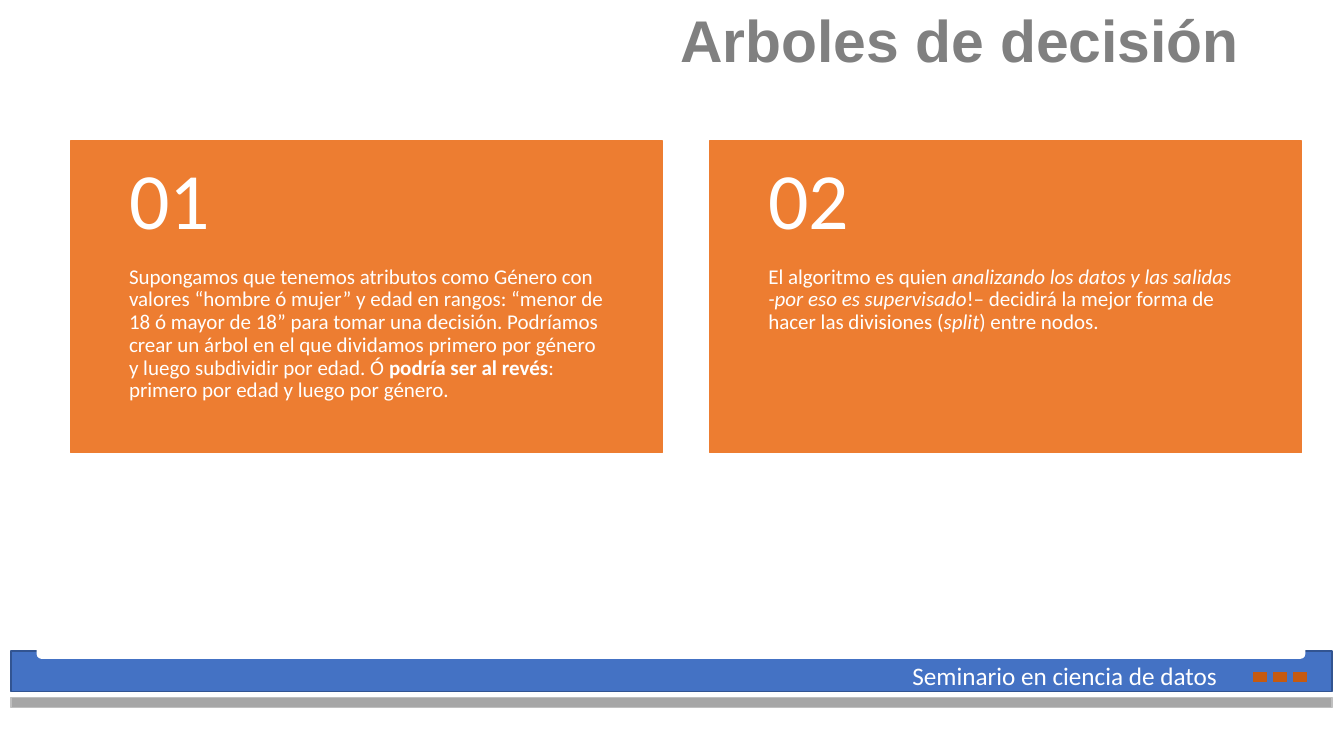
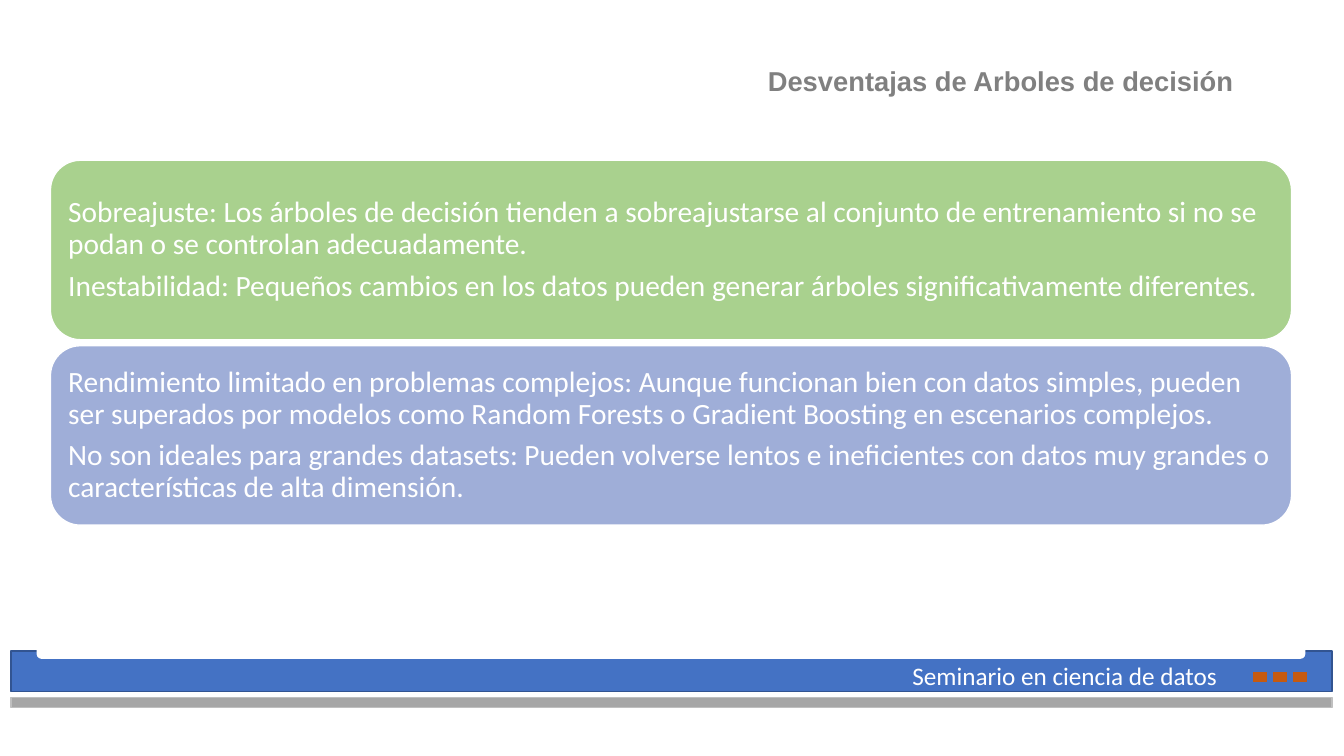
import pptx
import pptx.util
from pptx.dml.color import RGBColor
from pptx.enum.shapes import MSO_SHAPE
from pptx.enum.text import MSO_ANCHOR, MSO_AUTO_SIZE, PP_ALIGN

EMU_PER_PX = 9144  # 100 px to the inch

WHITE = RGBColor(0xFF, 0xFF, 0xFF)
TITLE_GRAY = RGBColor(0x80, 0x80, 0x80)
BAND_BLUE = RGBColor(0x44, 0x72, 0xC4)
BAND_EDGE = RGBColor(0x32, 0x54, 0x91)
STRIP_GRAY = RGBColor(0xA6, 0xA6, 0xA6)
STRIP_EDGE = RGBColor(0xBF, 0xBF, 0xBF)
RUST = RGBColor(0xC5, 0x5A, 0x11)
ORANGE = RGBColor(0xED, 0x7D, 0x31)
GREEN = RGBColor(0xA9, 0xD1, 0x8E)
PERIWINKLE = RGBColor(0x9F, 0xAE, 0xD8)

TITLE_FONT = "Arial"
BODY_FONT = "Calibri"
TITLE_ONLY = 5


def px(*lengths):
    return [pptx.util.Emu(length * EMU_PER_PX) for length in lengths]


class Deck:
    """Holds the presentation, its style and the slide being built."""

    def __init__(self):
        self.presentation = pptx.Presentation()
        width, height = px(1333, 750)
        self.presentation.slide_width = width
        self.presentation.slide_height = height
        self.slide = None

    def new_slide(self, title, left, top, size):
        layout = self.presentation.slide_layouts[TITLE_ONLY]
        self.slide = self.presentation.slides.add_slide(layout)
        self.title(title, left, top, size)
        self.footer()

    def title(self, text, left, top, size):
        heading = self.slide.shapes.title
        heading.left, heading.top, heading.width, heading.height = px(left, top, 590, 60)
        frame = heading.text_frame
        frame.text = text
        frame.word_wrap = True
        frame.auto_size = MSO_AUTO_SIZE.NONE
        frame.vertical_anchor = MSO_ANCHOR.BOTTOM
        line = frame.paragraphs[0]
        line.alignment = PP_ALIGN.RIGHT
        line.line_spacing = 0.7
        self.style_run(line.runs[0], size, TITLE_FONT, TITLE_GRAY, bold=True)

    def style_run(self, run, size, face=BODY_FONT, color=WHITE, bold=False, italic=False):
        font = run.font
        font.size = pptx.util.Pt(size)
        font.name = face
        font.color.rgb = color
        font.bold = bold
        font.italic = italic

    def block(self, box, fill, edge, kind=MSO_SHAPE.RECTANGLE):
        shape = self.slide.shapes.add_shape(kind, *px(*box))
        shape.shadow.inherit = False
        shape.fill.solid()
        shape.fill.fore_color.rgb = fill
        shape.line.color.rgb = edge
        shape.line.width = pptx.util.Pt(1)
        return shape

    def fill_frame(self, frame, paragraphs, size, insets, anchor):
        """Fill a frame; each paragraph is a list of (text, style) pieces."""
        frame.word_wrap = True
        frame.vertical_anchor = anchor
        (frame.margin_left, frame.margin_top,
         frame.margin_right, frame.margin_bottom) = px(*insets)
        for index, pieces in enumerate(paragraphs):
            paragraph = frame.add_paragraph() if index else frame.paragraphs[0]
            paragraph.alignment = PP_ALIGN.LEFT
            paragraph.line_spacing = 0.9
            paragraph.space_after = pptx.util.Pt(round(size * 0.35))
            for text, style in pieces:
                run = paragraph.add_run()
                run.text = text
                self.style_run(run, size, **style)

    def text(self, box, paragraphs, size, insets, anchor=MSO_ANCHOR.TOP):
        label = self.slide.shapes.add_textbox(*px(*box))
        self.fill_frame(label.text_frame, paragraphs, size, insets, anchor)

    def footer(self):
        self.block((11, 646, 1310, 40), BAND_BLUE, BAND_EDGE)
        self.block((37, 627, 1257, 26), WHITE, WHITE, MSO_SHAPE.ROUNDED_RECTANGLE)
        self.block((11, 692, 1310, 10), STRIP_GRAY, STRIP_EDGE)
        for index in range(3):
            self.block((1243 + 20 * index, 667, 13, 9), RUST, RUST)
        course = self.slide.shapes.add_textbox(*px(895, 650, 345, 40)).text_frame
        course.word_wrap = True
        course.text = "Seminario en ciencia de datos"
        self.style_run(course.paragraphs[0].runs[0], 18)

    def card(self, left, number, pieces):
        top, width, head, body = 140, 587, 124, 186
        self.block((left, top, width, head + body - 1), ORANGE, ORANGE)
        self.text((left, top + head, width, body), [pieces], 15, (58, 0, 58, 36))
        self.text((left, top, width, head), [[(number, {})]], 57,
                  (58, 18, 58, 18), MSO_ANCHOR.MIDDLE)

    def panel(self, top, fill, sentences):
        shape = self.block((50, top, 1231, 178), fill, WHITE, MSO_SHAPE.ROUNDED_RECTANGLE)
        self.fill_frame(shape.text_frame, [[(sentence, {})] for sentence in sentences],
                        21, (9, 9, 9, 9), MSO_ANCHOR.MIDDLE)


BOLD = {"bold": True}
ITALIC = {"italic": True}

CARDS = [
    [("Supongamos que tenemos atributos como Género con valores “hombre ó mujer” "
      "y edad en rangos: “menor de 18 ó mayor de 18” para tomar una decisión. "
      "Podríamos crear un árbol en el que dividamos primero por género y luego "
      "subdividir por edad. Ó ", {}),
     ("podría ser al revés", BOLD),
     (": primero por edad y luego por género.", {})],
    [("El algoritmo es quien ", {}),
     ("analizando los datos y las salidas -por eso es supervisado", ITALIC),
     ("!– decidirá la mejor forma de hacer las divisiones (", {}),
     ("split", ITALIC),
     (") entre nodos.", {})],
]

DRAWBACKS = [
    (GREEN, [
        "Sobreajuste: Los árboles de decisión tienden a sobreajustarse al conjunto "
        "de entrenamiento si no se podan o se controlan adecuadamente.",
        "Inestabilidad: Pequeños cambios en los datos pueden generar árboles "
        "significativamente diferentes."]),
    (PERIWINKLE, [
        "Rendimiento limitado en problemas complejos: Aunque funcionan bien con datos "
        "simples, pueden ser superados por modelos como Random Forests o Gradient "
        "Boosting en escenarios complejos.",
        "No son ideales para grandes datasets: Pueden volverse lentos e ineficientes "
        "con datos muy grandes o características de alta dimensión."]),
]


def main():
    deck = Deck()

    deck.new_slide("Arboles de decisión", 649, 17, 42)
    for index, pieces in enumerate(CARDS):
        deck.card(70 + 634 * index, f"{index + 1:02}", pieces)

    deck.new_slide("Desventajas de Arboles de decisión", 644, 40, 19.5)
    for index, (fill, sentences) in enumerate(DRAWBACKS):
        deck.panel(159 + 184 * index, fill, sentences)

    deck.presentation.save("out.pptx")


if __name__ == "__main__":
    main()
